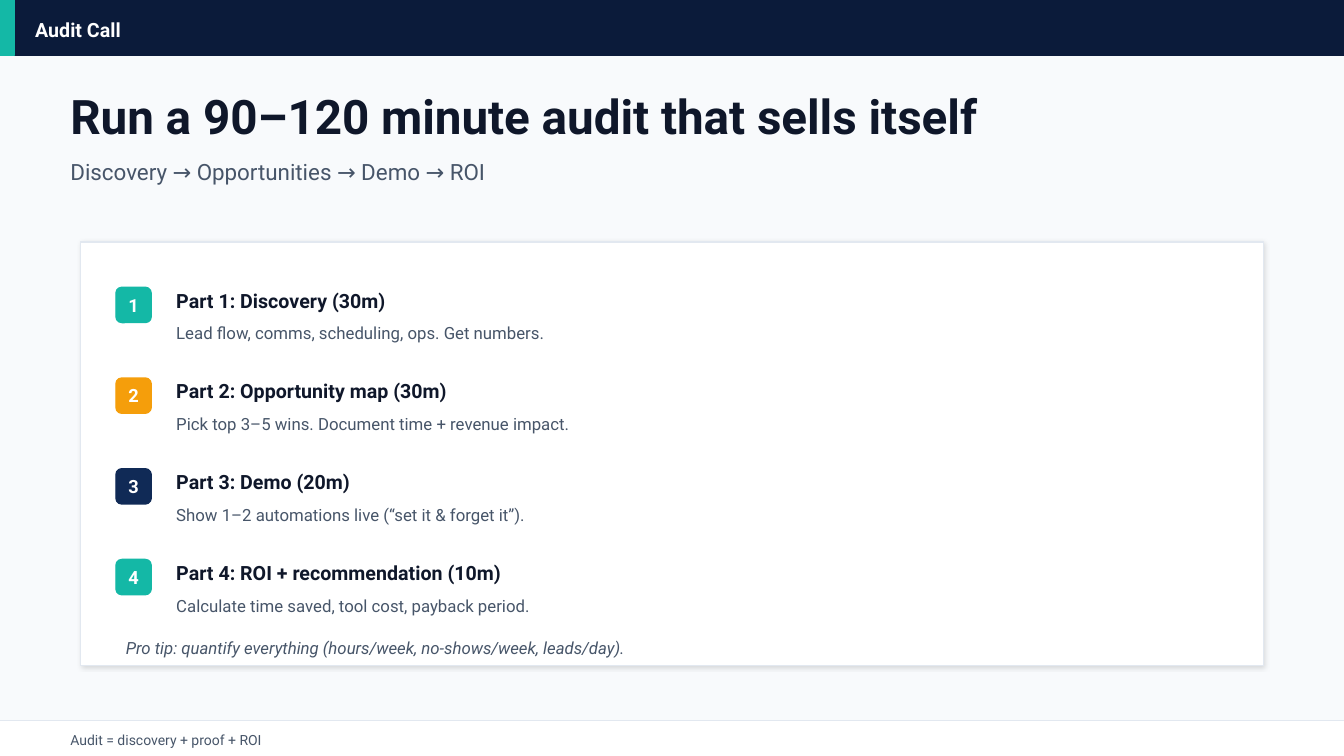
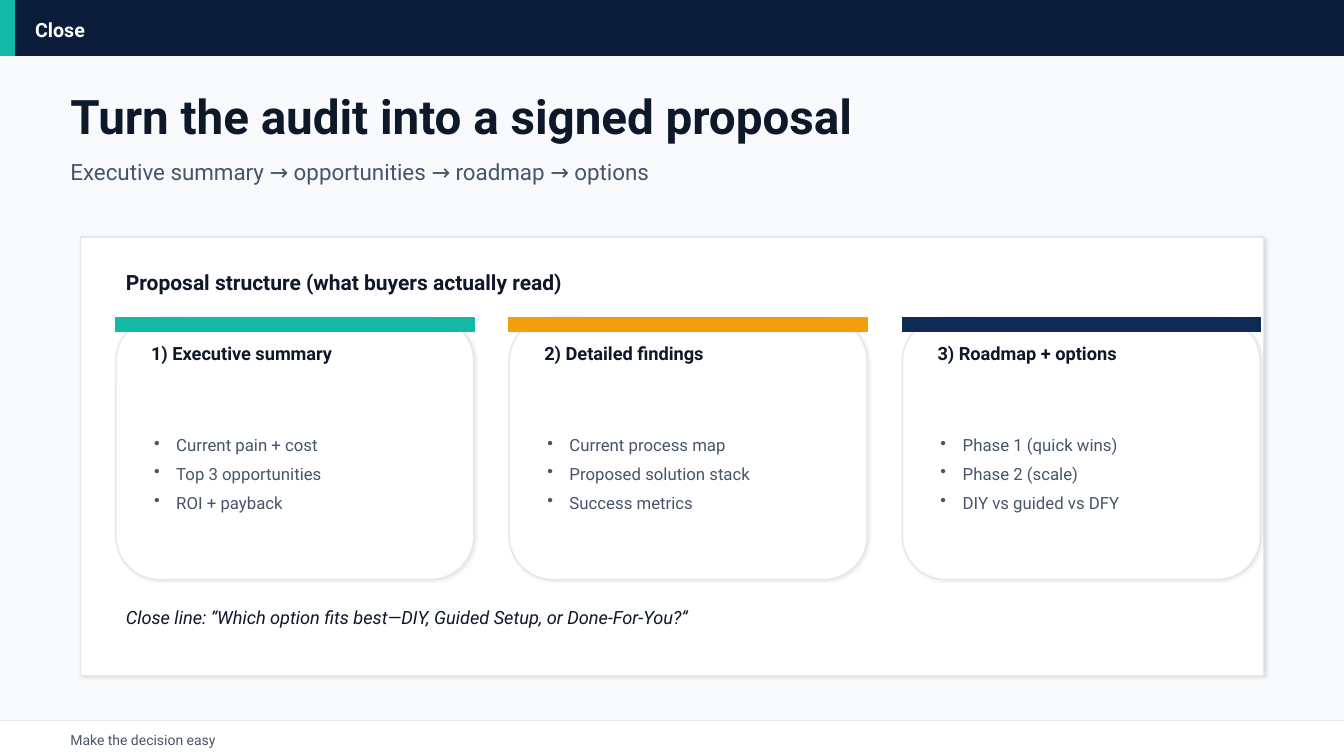
from pptx import Presentation
from pptx.dml.color import RGBColor
from pptx.enum.shapes import MSO_CONNECTOR as Connector, MSO_SHAPE as Shape
from pptx.enum.text import MSO_ANCHOR as Anchor, PP_ALIGN as Align
from pptx.oxml.ns import qn
from pptx.util import Pt
from lxml.etree import SubElement

# Lengths are px, 100 to the inch
SCALE = 9144
WIDTH, HEIGHT = 1333, 750
FONT = "Roboto"

NAVY = RGBColor(0x0B, 0x1B, 0x3A)
BLUE = RGBColor(0x10, 0x2A, 0x56)
TEAL = RGBColor(0x14, 0xB8, 0xA6)
AMBER = RGBColor(0xF5, 0x9E, 0x0B)
INK = RGBColor(0x0F, 0x17, 0x2A)
SLATE = RGBColor(0x47, 0x55, 0x69)
BORDER = RGBColor(0xE2, 0xE8, 0xF0)
PAPER = RGBColor(0xF8, 0xFA, 0xFC)
WHITE = RGBColor(0xFF, 0xFF, 0xFF)

# Shadows: opacity %, blur pt, distance pt
PANEL_SHADOW = (12, 3, 1.5)
CARD_SHADOW = (8, 2, 1)


def emu(*lengths):
    return [length * SCALE for length in lengths]


class Deck:
    def __init__(self):
        self.deck = Presentation()
        self.deck.slide_width, self.deck.slide_height = emu(WIDTH, HEIGHT)
        self.page = None

    def new_page(self, section, title, subtitle, footer):
        """Start a slide with its header band, headings and footer."""
        self.page = self.deck.slides.add_slide(self.deck.slide_layouts[6])
        background = self.page.background.fill
        background.solid()
        background.fore_color.rgb = PAPER
        # Header band
        self.block(0, 0, WIDTH, 55, NAVY)
        self.block(0, 0, 14, 55, TEAL)
        self.text(25, 12, 1283, 35, section, 14, WHITE, bold=True)
        # Headings
        self.text(60, 85, 1213, 60, title, 34, INK, bold=True)
        self.text(60, 145, 1213, 50, subtitle, 16, SLATE)
        # Footer
        self.block(0, 715, WIDTH, 35, WHITE)
        self.rule(0, 715, WIDTH, 715)
        self.text(60, 722, 1213, 25, footer, 10, SLATE)

    def block(self, left, top, width, height, fill, line=None,
              kind=Shape.RECTANGLE, shadow=None):
        shape = self.page.shapes.add_shape(kind, *emu(left, top, width, height))
        shape.fill.solid()
        shape.fill.fore_color.rgb = fill
        shape.line.color.rgb = line or fill
        shape.line.width = Pt(1)
        shape.shadow.inherit = False
        if shadow:
            opacity, blur, distance = shadow
            effects = shape._element.spPr.find(qn("a:effectLst"))
            outer = SubElement(effects, qn("a:outerShdw"), blurRad=str(Pt(blur)),
                               dist=str(Pt(distance)), dir=str(45 * 60000),
                               algn="bl", rotWithShape="0")
            color = SubElement(outer, qn("a:srgbClr"), val="000000")
            SubElement(color, qn("a:alpha"), val=str(opacity * 1000))

    def rule(self, x1, y1, x2, y2):
        line = self.page.shapes.add_connector(
            Connector.STRAIGHT, *emu(x1, y1, x2, y2))
        line.line.color.rgb = BORDER
        line.line.width = Pt(1)
        SubElement(line._element.spPr, qn("a:effectLst"))

    def frame(self, left, top, width, height):
        box = self.page.shapes.add_textbox(*emu(left, top, width, height))
        box.text_frame.word_wrap = True
        box.text_frame.vertical_anchor = Anchor.MIDDLE
        return box.text_frame

    def span(self, para, words, size, color, bold=False, italic=False):
        span = para.add_run()
        span.text = words
        font = span.font
        font.name, font.size, font.color.rgb = FONT, Pt(size), color
        font.bold, font.italic = bold, italic

    def text(self, left, top, width, height, words, size, color,
             bold=False, italic=False, align=Align.LEFT):
        para = self.frame(left, top, width, height).paragraphs[0]
        para.alignment = align
        self.span(para, words, size, color, bold, italic)

    def bullets(self, left, top, width, height, items):
        frame = self.frame(left, top, width, height)
        for index, item in enumerate(items):
            para = frame.add_paragraph() if index else frame.paragraphs[0]
            props = para._p.get_or_add_pPr()
            indent = 22 * SCALE
            props.set("marL", str(indent))
            props.set("indent", str(-indent))
            SubElement(props, qn("a:buChar"), char="•")
            para.space_after = Pt(6)
            self.span(para, item, 12, SLATE)

    def panel(self, top, height):
        self.block(80, top, 1173, height, WHITE, BORDER, shadow=PANEL_SHADOW)

    def step(self, top, number, color, heading, detail):
        self.block(115, top, 35, 35, color, kind=Shape.ROUNDED_RECTANGLE)
        self.text(115, top + 5, 35, 25, str(number), 13, WHITE, bold=True,
                  align=Align.CENTER)
        self.text(165, top - 2, 600, 30, heading, 14, INK, bold=True)
        self.text(165, top + 28, 1053, 35, detail, 12, SLATE)

    def card(self, left, color, heading, items):
        top, width = 315, 355
        self.block(left, top, width, 260, WHITE, BORDER,
                   Shape.ROUNDED_RECTANGLE, CARD_SHADOW)
        self.block(left, top, width, 14, color)
        self.text(left + 25, top + 18, width - 50, 35, heading, 13, INK, bold=True)
        self.bullets(left + 28, top + 60, 300, 190, items)


STEPS = [
    (TEAL, "Part 1: Discovery (30m)",
     "Lead flow, comms, scheduling, ops. Get numbers."),
    (AMBER, "Part 2: Opportunity map (30m)",
     "Pick top 3–5 wins. Document time + revenue impact."),
    (BLUE, "Part 3: Demo (20m)",
     "Show 1–2 automations live (“set it & forget it”)."),
    (TEAL, "Part 4: ROI + recommendation (10m)",
     "Calculate time saved, tool cost, payback period."),
]

CARDS = [
    (TEAL, "1) Executive summary",
     ["Current pain + cost", "Top 3 opportunities", "ROI + payback"]),
    (AMBER, "2) Detailed findings",
     ["Current process map", "Proposed solution stack", "Success metrics"]),
    (BLUE, "3) Roadmap + options",
     ["Phase 1 (quick wins)", "Phase 2 (scale)", "DIY vs guided vs DFY"]),
]


def audit_call(deck):
    deck.new_page("Audit Call", "Run a 90–120 minute audit that sells itself",
                  "Discovery → Opportunities → Demo → ROI",
                  "Audit = discovery + proof + ROI")
    deck.panel(240, 420)
    for index, step in enumerate(STEPS):
        deck.step(285 + 90 * index, index + 1, *step)
    deck.text(115, 625, 1103, 35,
              "Pro tip: quantify everything (hours/week, no-shows/week, leads/day).",
              12, SLATE, italic=True)


def close(deck):
    deck.new_page("Close", "Turn the audit into a signed proposal",
                  "Executive summary → opportunities → roadmap → options",
                  "Make the decision easy")
    deck.panel(235, 435)
    deck.text(115, 262, 1103, 35, "Proposal structure (what buyers actually read)",
              15, INK, bold=True)
    for index, card in enumerate(CARDS):
        deck.card(115 + 390 * index, *card)
    deck.text(115, 595, 1103, 35,
              "Close line: “Which option fits best—DIY, Guided Setup, or Done-For-You?”",
              13, INK, italic=True)


def main():
    deck = Deck()
    audit_call(deck)
    close(deck)
    deck.deck.save("out.pptx")


if __name__ == "__main__":
    main()
